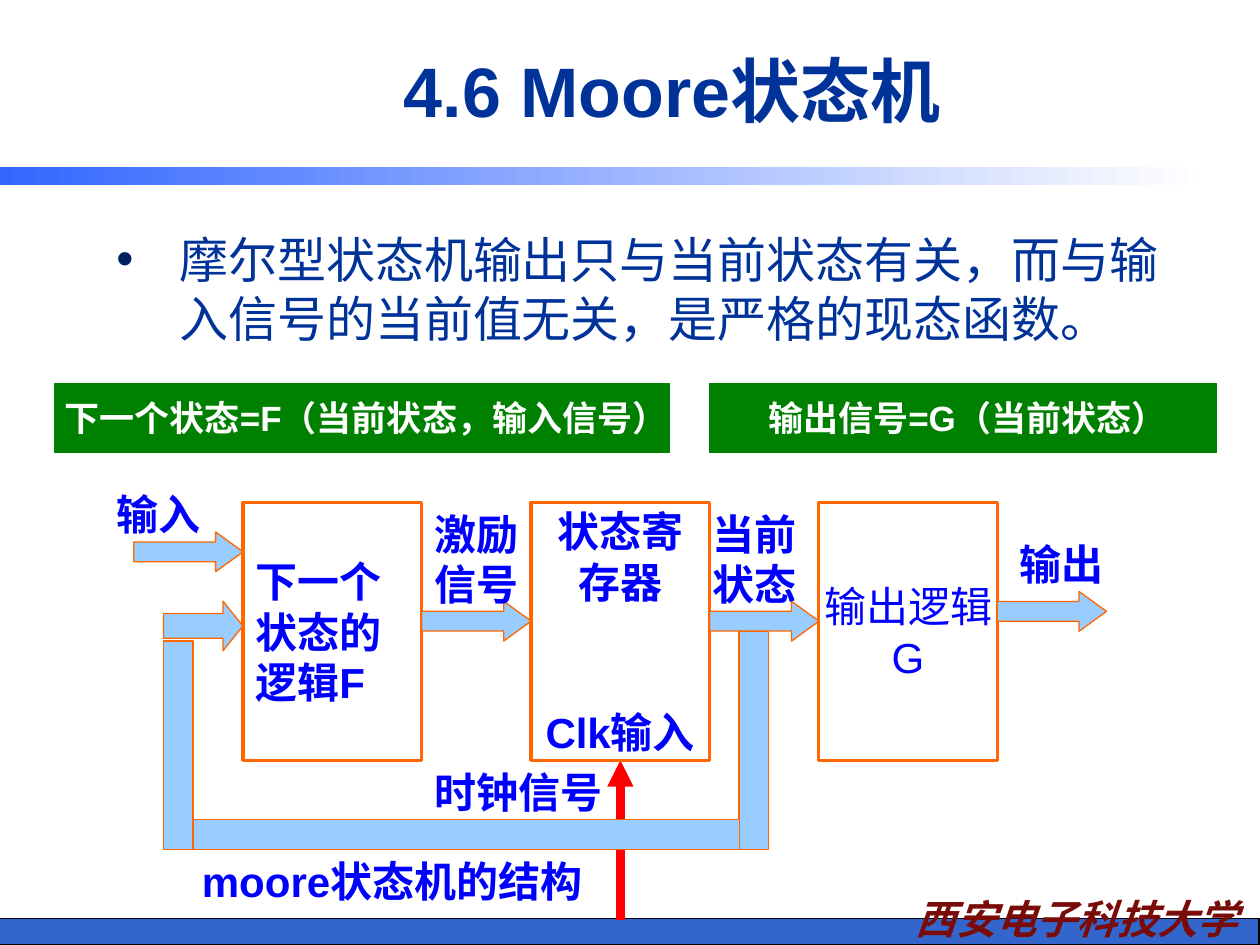
from dataclasses import dataclass

from lxml import etree
from pptx import Presentation
from pptx.dml import color
from pptx.enum import shapes, text
from pptx.oxml import ns
from pptx.util import Pt

BLUE, NAVY, ORANGE, SKY, GREEN = "0000FF", "003399", "FF6600", "99CCFF", "008000"
LEFT, CENTER = text.PP_ALIGN.LEFT, text.PP_ALIGN.CENTER
RECT, ARROW = shapes.MSO_SHAPE.RECTANGLE, shapes.MSO_SHAPE.RIGHT_ARROW


@dataclass
class Style:
    size: float = 24
    color: str = BLUE
    bold: bool = True
    italic: bool = False
    font: str = "Arial"
    align: text.PP_ALIGN = LEFT


@dataclass
class Block:
    """A rectangle with centred-height text."""
    left: float
    top: float
    width: float
    height: float
    lines: list
    style: Style
    fill: str = "FFFFFF"
    line: str = ORANGE
    line_width: float = 2


@dataclass
class Label:
    left: float
    top: float
    width: float
    height: float
    lines: list


@dataclass
class Pipe:
    """A bar or an arrow of the signal path."""
    left: float
    top: float
    width: float
    height: float
    kind: shapes.MSO_SHAPE = RECT
    head: float = 0.69


def rgb(value: str) -> color.RGBColor:
    return color.RGBColor.from_string(value)


def write(frame, lines: list, style: Style) -> None:
    for number, line in enumerate(lines):
        para = frame.paragraphs[0] if number == 0 else frame.add_paragraph()
        para.alignment = style.align
        span = para.add_run()
        span.text = line
        span.font.size = Pt(style.size)
        span.font.bold = style.bold
        span.font.italic = style.italic
        span.font.name = style.font
        span.font.color.rgb = rgb(style.color)
        east = etree.SubElement(span._r.get_or_add_rPr(), ns.qn("a:ea"))
        east.set("typeface", "Noto Sans CJK SC")


def add_shape(page, kind, left, top, width, height, fill, line, line_width):
    shape = page.shapes.add_shape(kind, Pt(left), Pt(top), Pt(width), Pt(height))
    shape.shadow.inherit = False
    shape.fill.solid()
    shape.fill.fore_color.rgb = rgb(fill)
    shape.line.color.rgb = rgb(line)
    shape.line.width = Pt(line_width)
    return shape


def add_block(page, block: Block):
    shape = add_shape(page, RECT, block.left, block.top, block.width, block.height,
                      block.fill, block.line, block.line_width)
    frame = shape.text_frame
    frame.word_wrap = False
    frame.vertical_anchor = text.MSO_ANCHOR.MIDDLE
    write(frame, block.lines, block.style)
    return frame


def add_label(page, label: Label, style: Style, wrap: bool = False):
    box = page.shapes.add_textbox(Pt(label.left), Pt(label.top),
                                  Pt(label.width), Pt(label.height))
    box.text_frame.word_wrap = wrap
    box.text_frame.auto_size = text.MSO_AUTO_SIZE.SHAPE_TO_FIT_TEXT
    write(box.text_frame, label.lines, style)
    return box.text_frame


def add_pipe(page, pipe: Pipe) -> None:
    shape = add_shape(page, pipe.kind, pipe.left, pipe.top, pipe.width, pipe.height,
                      SKY, ORANGE, 0.75)
    if pipe.kind == ARROW:
        shape.adjustments[0] = 0.5
        shape.adjustments[1] = pipe.head


def add_clock_line(page, x: float, bottom: float, top: float) -> None:
    line = page.shapes.add_connector(shapes.MSO_CONNECTOR.STRAIGHT,
                                     Pt(x), Pt(bottom), Pt(x), Pt(top))
    line.line.color.rgb = rgb("FF0000")
    line.line.width = Pt(5)
    etree.SubElement(line.line._get_or_add_ln(), ns.qn("a:tailEnd"), type="triangle")
    etree.SubElement(line._element.spPr, ns.qn("a:effectLst"))


def add_bullet(para, indent: float, mark_color: str) -> None:
    props = para._p.get_or_add_pPr()
    props.set("marL", str(Pt(indent)))
    props.set("indent", str(-Pt(indent)))
    tint = etree.SubElement(props, ns.qn("a:buClr"))
    etree.SubElement(tint, ns.qn("a:srgbClr"), val=mark_color)
    etree.SubElement(props, ns.qn("a:buFont"), typeface="Arial")
    etree.SubElement(props, ns.qn("a:buChar"), char="•")


def main() -> None:
    deck = Presentation()
    deck.slide_width, deck.slide_height = Pt(720), Pt(540)
    page = deck.slides.add_slide(deck.slide_layouts[5])

    # Footer band and university name
    add_shape(page, RECT, -0.5, 525, 720, 15, "3366CC", "000000", 0.75)
    add_label(page, Label(502, 507.5, 227, 35, ["西安电子科技大学"]),
              Style(23, "790C09", italic=True, font="Noto Sans CJK SC", align=CENTER),
              wrap=True)

    # Title and the fading rule below it
    rule = add_shape(page, RECT, 0, 95.5, 685, 10, "3366FF", "FFFFFF", 0.75)
    rule.line.fill.background()
    rule.fill.gradient()
    rule.fill.gradient_angle = 0
    for stop, tint in zip(rule.fill.gradient_stops, ("3366FF", "FFFFFF")):
        stop.color.rgb = rgb(tint)
    title = page.shapes.title
    title.left, title.top, title.width, title.height = Pt(96), Pt(12), Pt(576), Pt(78)
    title.text_frame.auto_size = text.MSO_AUTO_SIZE.NONE
    title.text_frame.vertical_anchor = text.MSO_ANCHOR.MIDDLE
    write(title.text_frame, ["4.6 Moore状态机"], Style(40, NAVY, align=CENTER))

    # Definition
    definition = "摩尔型状态机输出只与当前状态有关，而与输入信号的当前值无关，是严格的现态函数。"
    frame = add_label(page, Label(59.5, 127.5, 623.5, 108, [definition]),
                      Style(28, NAVY, bold=False), wrap=True)
    add_bullet(frame.paragraphs[0], 36, "002060")

    # Equations, set slightly right of centre
    equation = Style(20, "FFFFFF", align=CENTER)
    for left, width, line in ((31, 351.5, "下一个状态=F（当前状态，输入信号）"),
                              (405.5, 289.5, "输出信号=G（当前状态）")):
        frame = add_block(page, Block(left, 219, width, 39.5, [line], equation,
                                      GREEN, GREEN, 0.75))
        frame.margin_left = Pt(12)

    # Clock line, then the three logic blocks at an equal pitch
    add_clock_line(page, 354.5, 525.5, 434.5)
    contents = ((["下一个", "状态的", "逻辑F"], Style()),
                (["状态寄", "存器", "Clk输入"], Style(align=CENTER)),
                (["输出逻辑", "G"], Style(bold=False, align=CENTER)))
    block_left, pitch, block_width = 138.8, 164.5, 102.2
    frames = [add_block(page, Block(block_left + pitch * number, 287, block_width, 147.5,
                                    lines, style))
              for number, (lines, style) in enumerate(contents)]
    frames[1].paragraphs[-1].space_before = Pt(57)

    # Signal arrows and feedback path
    arrows = ((241, 343.6), (405.5, 343.6), (76.4, 304), (569.8, 338))
    pipes = [Pipe(left, top, 62.5, 22.7, ARROW) for left, top in arrows]
    pipes += [Pipe(422.4, 361, 17, 124.4),
              Pipe(110.4, 468.4, 312, 17),
              Pipe(93.4, 366.3, 17, 119.1),
              Pipe(93.4, 343.6, 45.4, 28.3, ARROW, 0.4)]
    for pipe in pipes:
        add_pipe(page, pipe)

    # Signal names and caption
    for label in (Label(59.5, 275.5, 63, 36, ["输入"]),
                  Label(241, 287, 63, 65, ["激励", "信号"]),
                  Label(400.2, 287, 63, 65, ["当前", "状态"]),
                  Label(575.5, 304, 63, 36, ["输出"]),
                  Label(241, 434.5, 111, 36, ["时钟信号"]),
                  Label(108.3, 485.5, 237.5, 36, ["moore状态机的结构"])):
        add_label(page, label, Style())

    deck.save("out.pptx")


if __name__ == "__main__":
    main()
